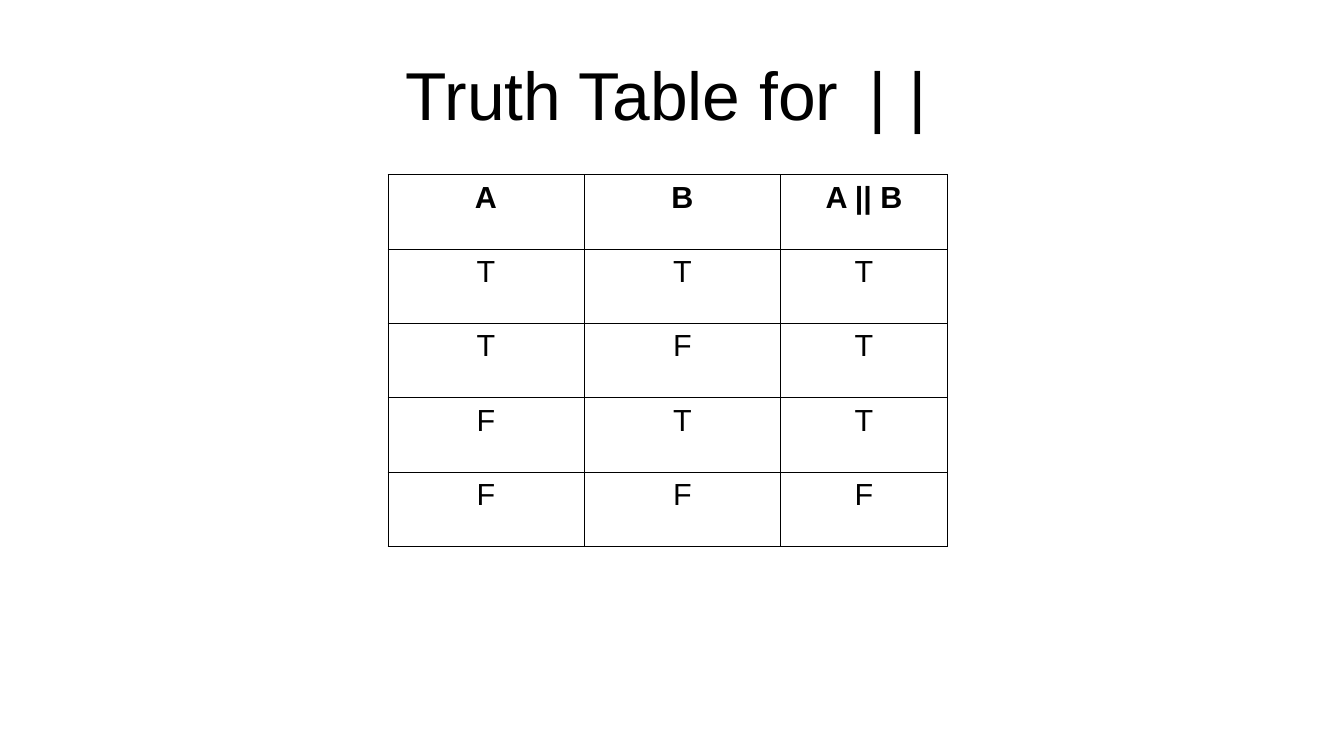
from lxml.etree import SubElement
from pptx import Presentation
from pptx.dml.color import RGBColor
from pptx.enum.text import MSO_ANCHOR, PP_ALIGN
from pptx.oxml.ns import qn
from pptx.util import Inches, Pt

BLACK = RGBColor(0, 0, 0)
WHITE = RGBColor(255, 255, 255)

# Content
TITLE = [("Truth Table for ", "Arial"), ("||", "Courier New")]
HEAD = ["A", "B", "A || B"]
ROWS = ["TTT", "TFT", "FTT", "FFF"]
WIDTHS = [1.61, 1.61, 1.37]
ROW_H = 0.61


def write(para, text, font="Arial", size=18, bold=False):
    para.alignment = PP_ALIGN.CENTER
    run = para.add_run()
    run.text = text
    run.font.name = font
    run.font.size = Pt(size)
    run.font.bold = bold
    run.font.color.rgb = BLACK


def border(cell):
    props = cell._tc.get_or_add_tcPr()
    for at, side in enumerate(("lnL", "lnR", "lnT", "lnB")):
        line = SubElement(props, qn(f"a:{side}"), w=str(Pt(0.06)))
        fill = SubElement(line, qn("a:solidFill"))
        SubElement(fill, qn("a:srgbClr"), val=str(BLACK))
        props.insert(at, line)  # borders come before the fill


deck = Presentation()
deck.slide_width, deck.slide_height = Inches(11.02), Inches(6.2)
slide = deck.slides.add_slide(deck.slide_layouts[5])

# Title
title = slide.shapes.title
title.left, title.top = Inches(0.55), Inches(0.25)
title.width, title.height = Inches(9.92), Inches(1.04)
frame = title.text_frame
frame.margin_left = frame.margin_right = 0
frame.margin_top = frame.margin_bottom = 0
frame.vertical_anchor = MSO_ANCHOR.MIDDLE
for text, font in TITLE:
    write(frame.paragraphs[0], text, font=font, size=40)

# Truth table
grid = [HEAD, *ROWS]
table = slide.shapes.add_table(
    len(grid), len(HEAD), Inches(3.18), Inches(1.43),
    Inches(sum(WIDTHS)), Inches(ROW_H * len(grid))).table
table.first_row = table.horz_banding = False
for col, width in zip(table.columns, WIDTHS):
    col.width = Inches(width)
for r, row in enumerate(grid):
    table.rows[r].height = Inches(ROW_H)
    for c, text in enumerate(row):
        cell = table.cell(r, c)
        cell.fill.solid()
        cell.fill.fore_color.rgb = WHITE
        border(cell)
        write(cell.text_frame.paragraphs[0], text, bold=r == 0)

deck.save("out.pptx")
